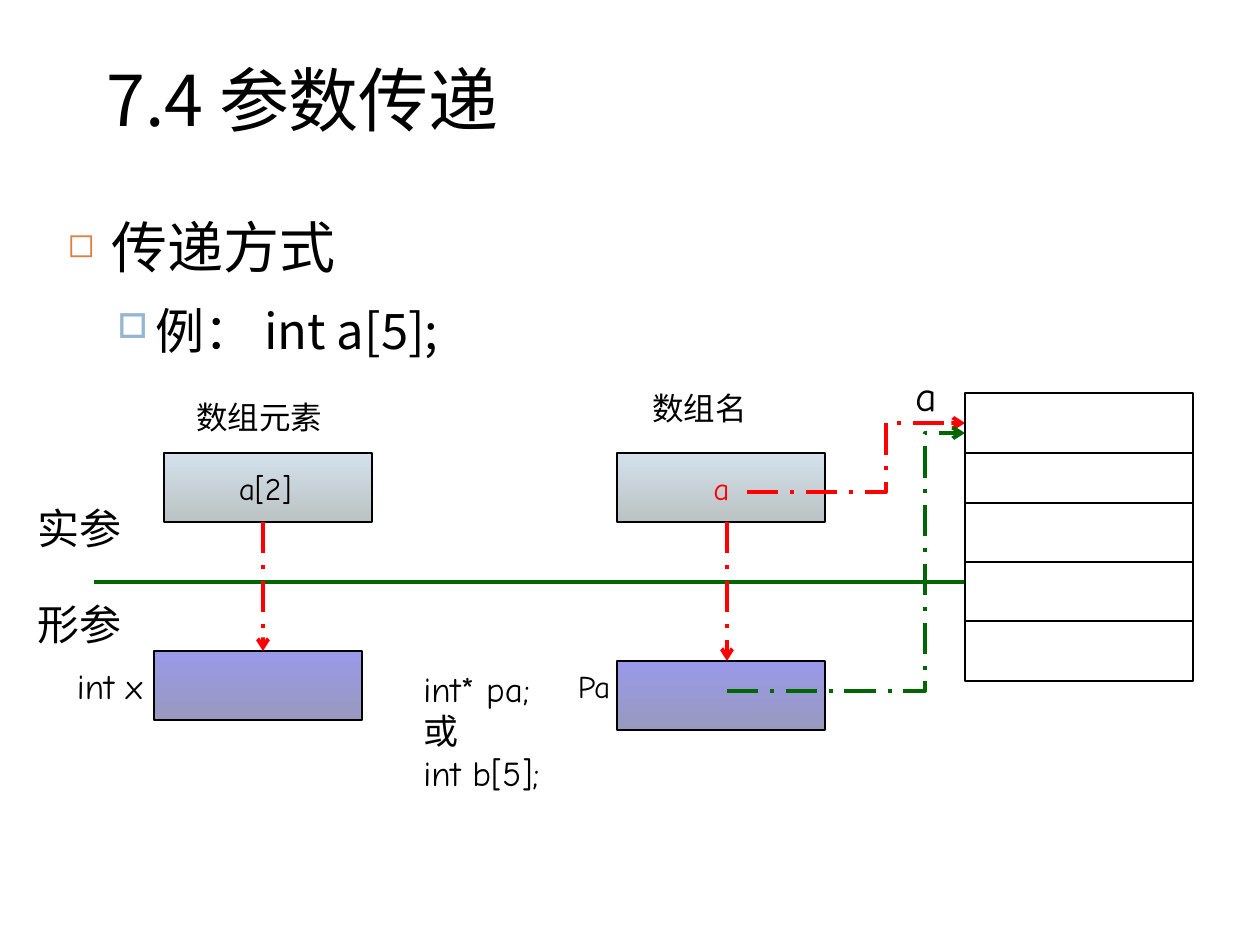
from lxml import etree
from pptx import Presentation, util as u
from pptx.dml.color import RGBColor
from pptx.enum import dml, shapes, text
from pptx.oxml.ns import qn

PX = 914400 / 126
CJK, COMIC = "Noto Sans CJK SC", "Comic Neue"
BLACK, RED, GREEN = "000000", "FF0000", "006600"
ARGUMENT = ("94B6D2", "566768")
PARAMETER = ("0000CC", "00005E")
CELL_W, CELL_H = 208, 69


def px(n):
    return round(n * PX)


def color(hex_code):
    return RGBColor.from_string(hex_code)


def add_xml(parent, tag, **attributes):
    return etree.SubElement(parent, qn(tag), attributes)


def style_paragraph(p, words, size, font=COMIC, ink=BLACK):
    p.text = words
    p.font.size, p.font.name = u.Pt(size), font
    p.font.color.rgb = color(ink)
    latin = p._p.pPr.find(".//" + qn("a:latin"))
    latin.addnext(latin.makeelement(qn("a:ea"), {"typeface": CJK}))


def add_text(slide, box, lines, size, font=COMIC, ink=BLACK, right=False, wrap=False):
    frame = slide.shapes.add_textbox(*map(px, box)).text_frame
    frame.word_wrap = wrap
    frame.auto_size = text.MSO_AUTO_SIZE.SHAPE_TO_FIT_TEXT
    for i, words in enumerate(lines):
        p = frame.add_paragraph() if i else frame.paragraphs[0]
        style_paragraph(p, words, size, font, ink)
        p.alignment = text.PP_ALIGN.RIGHT if right else text.PP_ALIGN.LEFT
    return frame


def style_line(line, ink, width, flow=False):
    """Flow lines are dash-dotted and end in an open arrowhead."""
    line.color.rgb = color(ink)
    line.width = u.Pt(width)
    if flow:
        line.dash_style = dml.MSO_LINE.LONG_DASH_DOT
        add_xml(line._get_or_add_ln(), "a:tailEnd", type="arrow")


def add_line(slide, start, end, ink, width, flow=False):
    line = slide.shapes.add_connector(shapes.MSO_CONNECTOR.STRAIGHT,
                                      *map(px, (*start, *end)))
    style_line(line.line, ink, width, flow)
    add_xml(line._element.spPr, "a:effectLst")


def add_route(slide, points, ink):
    builder = slide.shapes.build_freeform(*points[0], scale=PX)
    builder.add_line_segments(points[1:], close=False)
    route = builder.convert_to_shape()
    route.shadow.inherit = False
    route.fill.background()
    style_line(route.line, ink, 2.25, flow=True)


def add_rect(slide, box):
    rect = slide.shapes.add_shape(shapes.MSO_SHAPE.RECTANGLE, *map(px, box))
    rect.shadow.inherit = False
    style_line(rect.line, BLACK, 0.75)
    return rect


def add_variable(slide, x, y, shades):
    fill = add_rect(slide, (x, y, CELL_W, CELL_H)).fill
    fill.gradient()
    fill.gradient_angle = 270
    for stop, shade in zip(fill.gradient_stops, shades):
        stop.color.rgb = color(shade)
    for shade in fill._xPr.iter(qn("a:srgbClr")):
        if shade.getparent().tag == qn("a:gs"):
            add_xml(shade, "a:alpha", val="40000")


def build_title(slide, box):
    frame = add_text(slide, box, ["7.4 参数传递"], 40, CJK, wrap=True)
    frame.auto_size = text.MSO_AUTO_SIZE.NONE
    frame.vertical_anchor = text.MSO_ANCHOR.MIDDLE


def build_outline(slide, box):
    frame = add_text(slide, box, ["传递方式", "例： int a[5];"], 32, CJK, wrap=True)
    frame.auto_size = text.MSO_AUTO_SIZE.NONE
    frame.paragraphs[1].font.size = u.Pt(28)
    bullets = [("◻", "DD8047", 60, 44, 44, 0), ("□", "94B6D2", 70, 88, 38, 9)]
    for p, (mark, ink, percent, margin, hang, before) in zip(frame.paragraphs, bullets):
        p.line_spacing = 0.9
        p.space_before, p.space_after = u.Pt(before), u.Pt(6)
        props = p._p.pPr
        props.set("marL", str(px(margin)))
        props.set("indent", str(-px(hang)))
        bullet_color = props.makeelement(qn("a:buClr"), {})
        add_xml(bullet_color, "a:srgbClr", val=ink)
        size = props.makeelement(qn("a:buSzPct"), {"val": str(percent * 1000)})
        char = props.makeelement(qn("a:buChar"), {"char": mark})
        for part in (bullet_color, size, char):
            props.find(qn("a:defRPr")).addprevious(part)


def build_divider(slide, x, y):
    """Line between the arguments above and the parameters below."""
    add_line(slide, (x, y), (x + 913, y), GREEN, 2.25)
    for words, dy in (("实参", -86), ("形参", 10)):
        add_text(slide, (x - 69, y + dy, 118, 63), [words], 24, wrap=True)


def build_element_passing(slide, x, y):
    """Array element: its value goes to the parameter."""
    add_text(slide, (x + 20, y - 61, 165, 54), ["数组元素"], 18)
    add_variable(slide, x, y, ARGUMENT)
    add_text(slide, (x + 49, y + 10, 91, 54), ["a[2]"], 18, right=True)
    add_variable(slide, x - 10, y + 198, PARAMETER)
    add_text(slide, (x - 110, y + 205, 101, 54), ["int x"], 20, right=True)
    add_line(slide, (x + 99, y + CELL_H), (x + 99, y + 198), RED, 2.25, flow=True)


def build_name_passing(slide, x, y):
    """Array name: argument and parameter both point to the memory."""
    add_text(slide, (x + 23, y - 70, 130, 54), ["数组名"], 18)
    add_variable(slide, x, y, ARGUMENT)
    add_text(slide, (x + 82, y + 10, 43, 54), ["a"], 18, ink=RED, right=True)
    add_variable(slide, x, y + 208, PARAMETER)
    add_text(slide, (x - 56, y + 208, 62, 54), ["Pa"], 18, right=True)
    add_text(slide, (x - 206, y + 208, 170, 139),
             ["int* pa;", "或", "int b[5];"], 20)
    add_line(slide, (x + 110, y + CELL_H), (x + 110, y + 208), RED, 2.25, flow=True)
    for start, bend, start_y, end_y, ink in ((130, 269, 39, -30, RED),
                                             (110, 308, 238, -20, GREEN)):
        add_route(slide, [(x + start, y + start_y), (x + bend, y + start_y),
                          (x + bend, y + end_y), (x + 348, y + end_y)], ink)


def build_memory(slide, x, y, width, height):
    fill = add_rect(slide, (x, y, width, height)).fill
    fill.solid()
    fill.fore_color.rgb = color("FFFFFF")
    add_text(slide, (x - 62, y - 30, 45, 54), ["a"], 24, right=True)
    for dy in (60, 110, 169, 228):
        add_line(slide, (x, y + dy), (x + width, y + dy), BLACK, 0.75)


def main():
    deck = Presentation()
    deck.slide_width, deck.slide_height = u.Inches(10), u.Inches(7.5)
    slide = deck.slides.add_slide(deck.slide_layouts[6])
    build_outline(slide, (55, 214, 1091, 655))
    build_divider(slide, 94, 582)
    build_element_passing(slide, 164, 453)
    build_name_passing(slide, 617, 453)
    build_memory(slide, 965, 393, 228, 288)
    build_title(slide, (94, 30, 1124, 136))
    deck.save("out.pptx")


if __name__ == "__main__":
    main()
